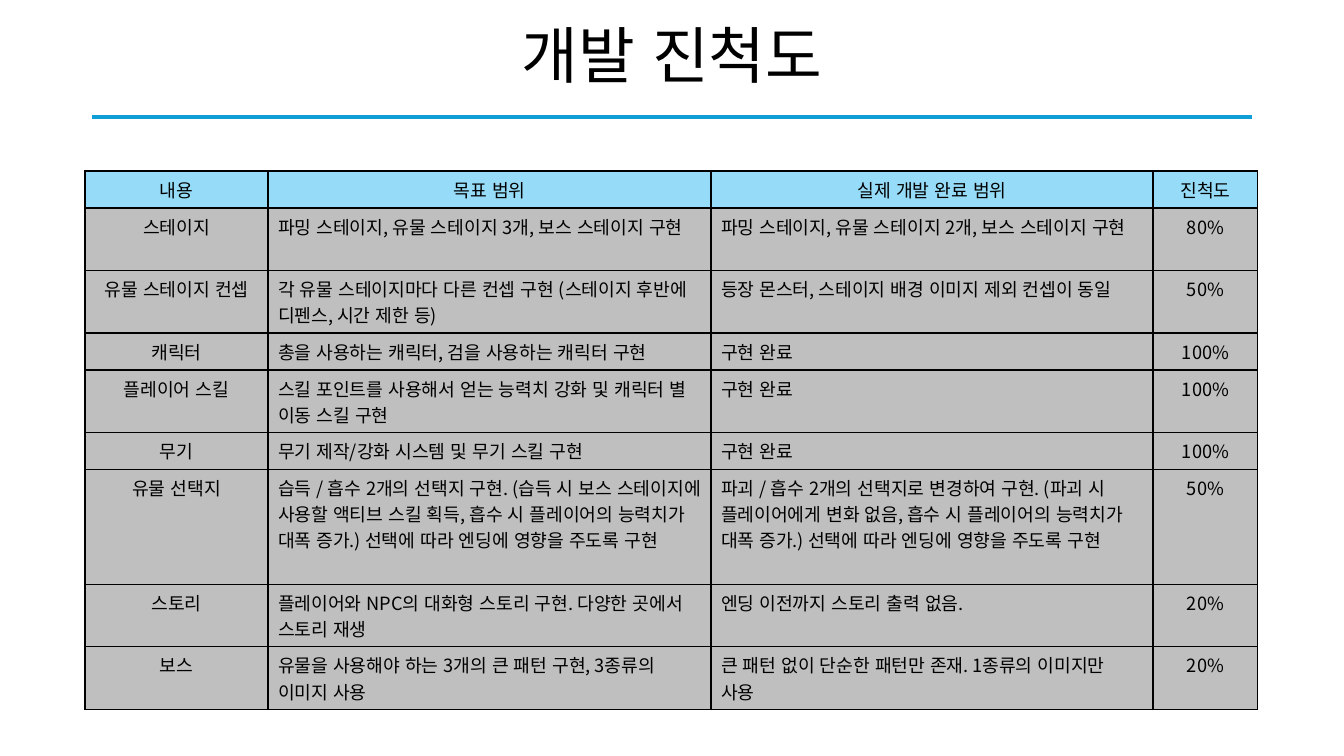
from lxml import etree
from pptx import Presentation
from pptx.dml.color import RGBColor
from pptx.enum.lang import MSO_LANGUAGE_ID
from pptx.enum.shapes import MSO_CONNECTOR
from pptx.enum.text import MSO_ANCHOR, PP_ALIGN
from pptx.oxml import parse_xml
from pptx.oxml.ns import qn
from pptx.util import Pt

CENTER, LEFT = PP_ALIGN.CENTER, PP_ALIGN.LEFT
MIDDLE = MSO_ANCHOR.MIDDLE
STRAIGHT = MSO_CONNECTOR.STRAIGHT
KOREAN = MSO_LANGUAGE_ID.KOREAN
A_NS = "http://schemas.openxmlformats.org/drawingml/2006/main"
FONT = "Noto Sans CJK KR"
BLACK, BLUE, HEADER, BODY = "000000", "0F9ED5", "96DCF8", "BFBFBF"

ROWS = [
    ("내용", "목표 범위", "실제 개발 완료 범위", "진척도"),
    ("스테이지",
     "파밍 스테이지, 유물 스테이지 3개, 보스 스테이지 구현",
     "파밍 스테이지, 유물 스테이지 2개, 보스 스테이지 구현", "80%"),
    ("유물 스테이지 컨셉",
     "각 유물 스테이지마다 다른 컨셉 구현 (스테이지 후반에 디펜스, 시간 제한 등)",
     "등장 몬스터, 스테이지 배경 이미지 제외 컨셉이 동일", "50%"),
    ("캐릭터", "총을 사용하는 캐릭터, 검을 사용하는 캐릭터 구현", "구현 완료", "100%"),
    ("플레이어 스킬",
     "스킬 포인트를 사용해서 얻는 능력치 강화 및 캐릭터 별 이동 스킬 구현",
     "구현 완료", "100%"),
    ("무기", "무기 제작/강화 시스템 및 무기 스킬 구현", "구현 완료", "100%"),
    ("유물 선택지",
     "습득 / 흡수 2개의 선택지 구현. (습득 시 보스 스테이지에 사용할 액티브 스킬 획득, "
     "흡수 시 플레이어의 능력치가 대폭 증가.) 선택에 따라 엔딩에 영향을 주도록 구현",
     "파괴 / 흡수 2개의 선택지로 변경하여 구현. (파괴 시 플레이어에게 변화 없음, "
     "흡수 시 플레이어의 능력치가 대폭 증가.) 선택에 따라 엔딩에 영향을 주도록 구현", "50%"),
    ("스토리",
     "플레이어와 NPC의 대화형 스토리 구현. 다양한 곳에서 스토리 재생",
     "엔딩 이전까지 스토리 출력 없음.", "20%"),
    ("보스",
     "유물을 사용해야 하는 3개의 큰 패턴 구현, 3종류의 이미지 사용",
     "큰 패턴 없이 단순한 패턴만 존재. 1종류의 이미지만 사용", "20%"),
]
COL_WIDTHS = [183, 443, 442, 105]
ROW_HEIGHT = 37


def px(n):
    """Turn slide pixels (100.8 to the inch) into EMU."""
    return round(n * 914400 / 100.8)


def write(tf, text, size, align):
    p = tf.paragraphs[0]
    p.alignment = align
    r = p.add_run()
    r.text = text
    r.font.size = Pt(size)
    r.font.name = FONT
    r.font.language_id = KOREAN
    r.font.color.rgb = RGBColor.from_string(BLACK)
    etree.SubElement(r.font._element, qn("a:ea"), typeface=FONT)
    return p


prs = Presentation()
prs.slide_width, prs.slide_height = px(1344), px(756)
s = prs.slides.add_slide(prs.slide_layouts[6])

# Rule under the title
rule = s.shapes.add_connector(STRAIGHT, px(92), px(117), px(1252), px(117))
rule.line.color.rgb = RGBColor.from_string(BLUE)
rule.line.width = Pt(3)
etree.SubElement(rule._element.spPr, qn("a:effectLst"))

# Progress table
table = s.shapes.add_table(len(ROWS), len(COL_WIDTHS), px(85), px(171),
                           px(sum(COL_WIDTHS)), px(ROW_HEIGHT * len(ROWS))).table
for column, width in zip(table.columns, COL_WIDTHS):
    column.width = px(width)
for i, row in enumerate(ROWS):
    table.rows[i].height = px(ROW_HEIGHT)
    for j, text in enumerate(row):
        cell = table.cell(i, j)
        tcPr = cell._tc.get_or_add_tcPr()
        for side in "LRTB":
            tcPr.append(parse_xml(
                f'<a:ln{side} xmlns:a="{A_NS}" w="12700"><a:solidFill>'
                f'<a:srgbClr val="{BLACK}"/></a:solidFill></a:ln{side}>'))
        cell.fill.solid()
        cell.fill.fore_color.rgb = RGBColor.from_string(BODY if i else HEADER)
        p = write(cell.text_frame, text, 13, LEFT if i and j in (1, 2) else CENTER)
        p.font.bold = False
        p.runs[0].font.bold = False

# Title
title = s.shapes.add_textbox(px(92), px(-14), px(1160), px(146))
tf = title.text_frame
tf.word_wrap = True
tf.vertical_anchor = MIDDLE
write(tf, "개발 진척도", 44, CENTER).line_spacing = 0.9

prs.save("out.pptx")
